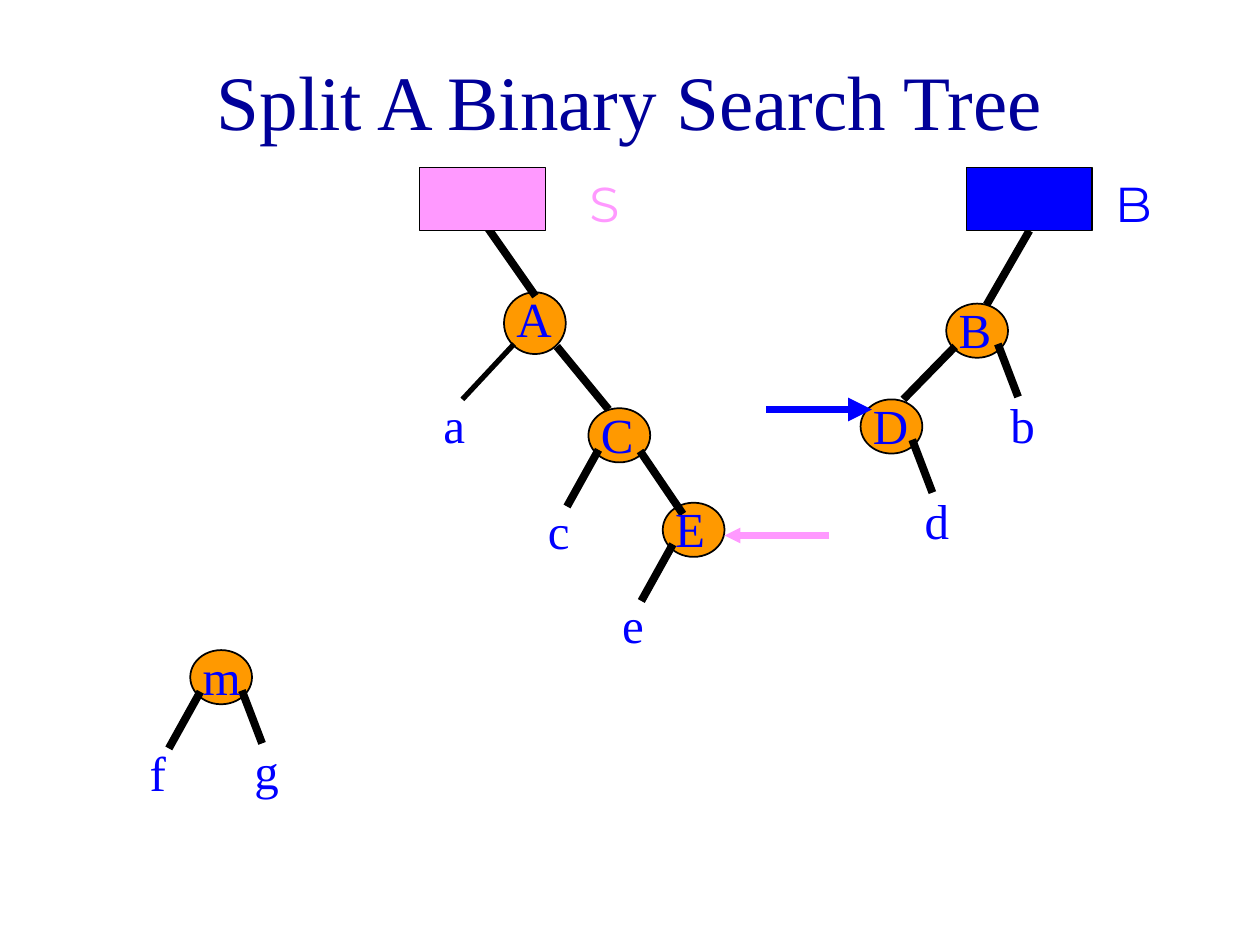
from lxml import etree
from pptx import Presentation
from pptx.dml.color import RGBColor
from pptx.enum.shapes import MSO_CONNECTOR, MSO_SHAPE
from pptx.enum.text import MSO_ANCHOR, MSO_AUTO_SIZE, PP_ALIGN
from pptx.oxml.ns import qn
from pptx.util import Inches, Pt

STRAIGHT = MSO_CONNECTOR.STRAIGHT
OVAL, RECTANGLE = MSO_SHAPE.OVAL, MSO_SHAPE.RECTANGLE
MIDDLE, CENTER = MSO_ANCHOR.MIDDLE, PP_ALIGN.CENTER
FIT_SHAPE = MSO_AUTO_SIZE.SHAPE_TO_FIT_TEXT

NAVY = RGBColor(0x00, 0x00, 0x99)
BLUE = RGBColor(0x00, 0x00, 0xFF)
PINK = RGBColor(0xFF, 0x99, 0xFF)
ORANGE = RGBColor(0xFF, 0x99, 0x00)
BLACK = RGBColor(0x00, 0x00, 0x00)
SERIF, SANS = "Times New Roman", "Montserrat"

TITLE = "Split A Binary Search Tree"
NODES = {
    "A": (4, 2.32, 0.49),
    "B": (7.51, 2.41, 0.43),
    "C": (4.67, 3.24, 0.43),
    "D": (6.83, 3.17, 0.43),
    "E": (5.26, 3.99, 0.43),
    "m": (1.51, 5.16, 0.43),
}
LEAVES = [
    ("B", "right", "b"),
    ("C", "left", "c"),
    ("D", "right", "d"),
    ("E", "left", "e"),
    ("m", "left", "f"),
    ("m", "right", "g"),
]
LEAF_OFFSETS = {
    "left": ((0.08, 0.33), (-0.17, 0.78), (-0.42, 0.68)),
    "right": ((0.41, 0.32), (0.57, 0.74), (0.41, 0.67)),
}
WIDE_LEAF = ("a", (4.08, 2.73), (3.67, 3.17), (3.42, 3.08))
TREE_EDGES = [
    ((3.83, 1.75), (4.25, 2.35)),
    ((4.42, 2.75), (4.83, 3.25)),
    ((5.08, 3.58), (5.42, 4.08)),
    ((7.58, 2.75), (7.17, 3.17)),
]
BIG_ROOT_EDGE = ((8.17, 1.83), (7.83, 2.42))
ROOTS = {"S": (3.33, 4.58, PINK), "B": (7.67, 8.75, BLUE)}
ARROWS = [
    ((6.58, 4.25), (5.75, 4.25), PINK, "sm"),
    ((6.08, 3.25), (6.92, 3.25), BLUE, "med"),
]


def add_box(shapes, kind, left, top, width, height, color):
    box = shapes.add_shape(kind, Inches(left), Inches(top), Inches(width), Inches(height))
    box.shadow.inherit = False
    box.fill.solid()
    box.fill.fore_color.rgb = color
    box.line.color.rgb = BLACK
    box.line.width = Pt(1)
    return box


def add_line(shapes, start, end, color=BLACK, width=4.5):
    line = shapes.add_connector(STRAIGHT, *map(Inches, start + end))
    line.line.color.rgb = color
    line.line.width = Pt(width)
    etree.SubElement(line._element.spPr, qn("a:effectLst"))
    return line


def add_label(shapes, text, left, top, width=0.5, font=SERIF, color=BLUE):
    label = shapes.add_textbox(Inches(left), Inches(top), Inches(width), Inches(0.57))
    frame = label.text_frame
    frame.word_wrap = True
    frame.auto_size = FIT_SHAPE
    frame.text = text
    set_font(frame.paragraphs[0], 28, font, color)


def set_font(paragraph, size, name, color):
    paragraph.font.size = Pt(size)
    paragraph.font.name = name
    paragraph.font.color.rgb = color


def add_title(slide):
    title = slide.shapes.title
    title.left, title.top = Inches(0.75), Inches(0.17)
    title.width, title.height = Inches(8.5), Inches(1.25)
    title.text_frame.text = TITLE
    title.text_frame.vertical_anchor = MIDDLE
    paragraph = title.text_frame.paragraphs[0]
    paragraph.alignment = CENTER
    set_font(paragraph, 44, SERIF, NAVY)


def add_tree(shapes):
    for left, top, height in NODES.values():
        add_box(shapes, OVAL, left, top, 0.49, height, ORANGE)
    for start, end in TREE_EDGES:
        add_line(shapes, start, end)
    for parent, side, text in LEAVES:
        left, top, _ = NODES[parent]
        start, end, corner = [(left + x, top + y) for x, y in LEAF_OFFSETS[side]]
        add_line(shapes, start, end)
        add_label(shapes, text, *corner)
    text, start, end, corner = WIDE_LEAF
    add_line(shapes, start, end, width=3)
    add_label(shapes, text, *corner)
    for text, (left, top, _) in NODES.items():
        add_label(shapes, text, left, top - 0.08)


def add_roots(shapes):
    big_edge = add_line(shapes, *BIG_ROOT_EDGE)
    boxes = {}
    for text, (left, label_left, color) in ROOTS.items():
        group = shapes.add_group_shape()
        boxes[text] = add_box(group.shapes, RECTANGLE, left, 1.33, 1, 0.5, color)
        add_label(group.shapes, text, label_left, 1.33, 0.92, SANS, color)
    big_edge.begin_connect(boxes["B"], 2)


def add_arrows(shapes):
    for start, end, color, size in ARROWS:
        arrow = add_line(shapes, start, end, color)
        outline = arrow.line._get_or_add_ln()
        etree.SubElement(outline, qn("a:tailEnd"), type="triangle", w=size, len=size)


def main():
    presentation = Presentation()
    presentation.slide_width = Inches(10)
    presentation.slide_height = Inches(7.5)
    slide = presentation.slides.add_slide(presentation.slide_layouts[5])
    add_title(slide)
    add_tree(slide.shapes)
    add_roots(slide.shapes)
    add_arrows(slide.shapes)
    presentation.save("out.pptx")


if __name__ == "__main__":
    main()
